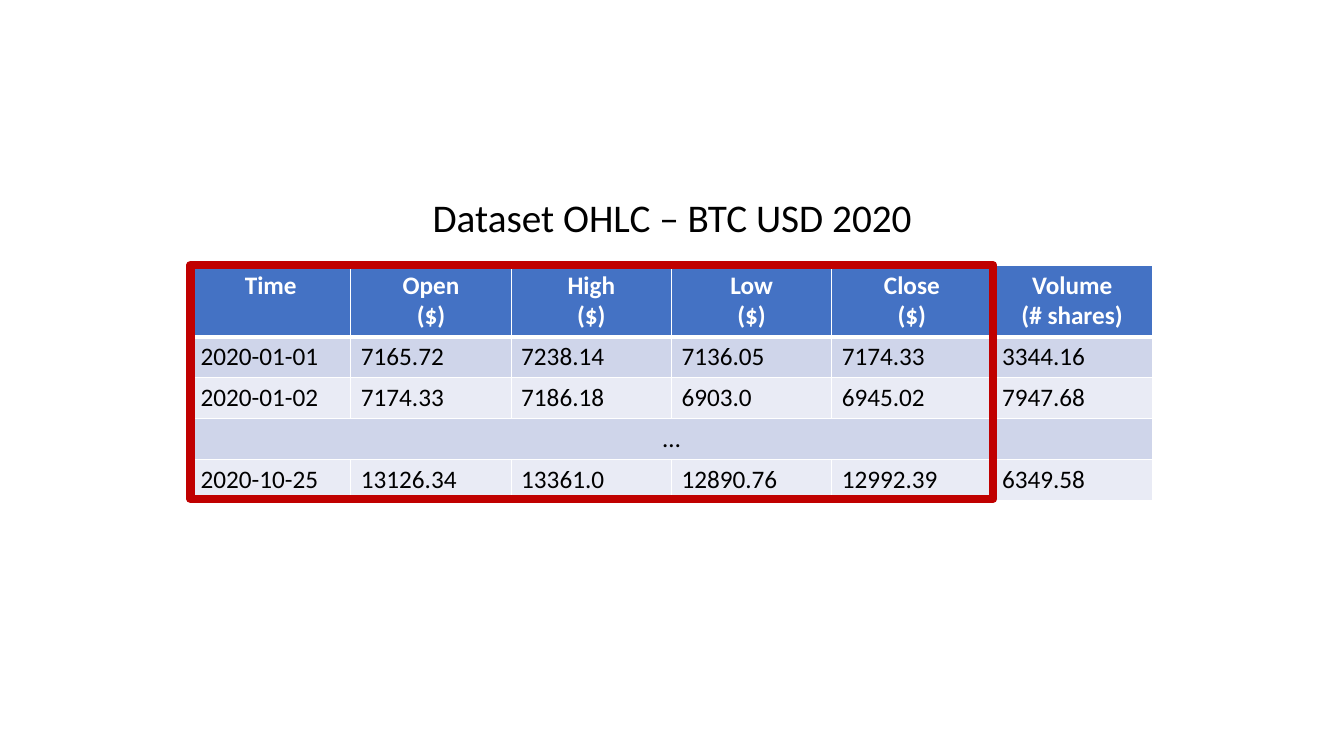
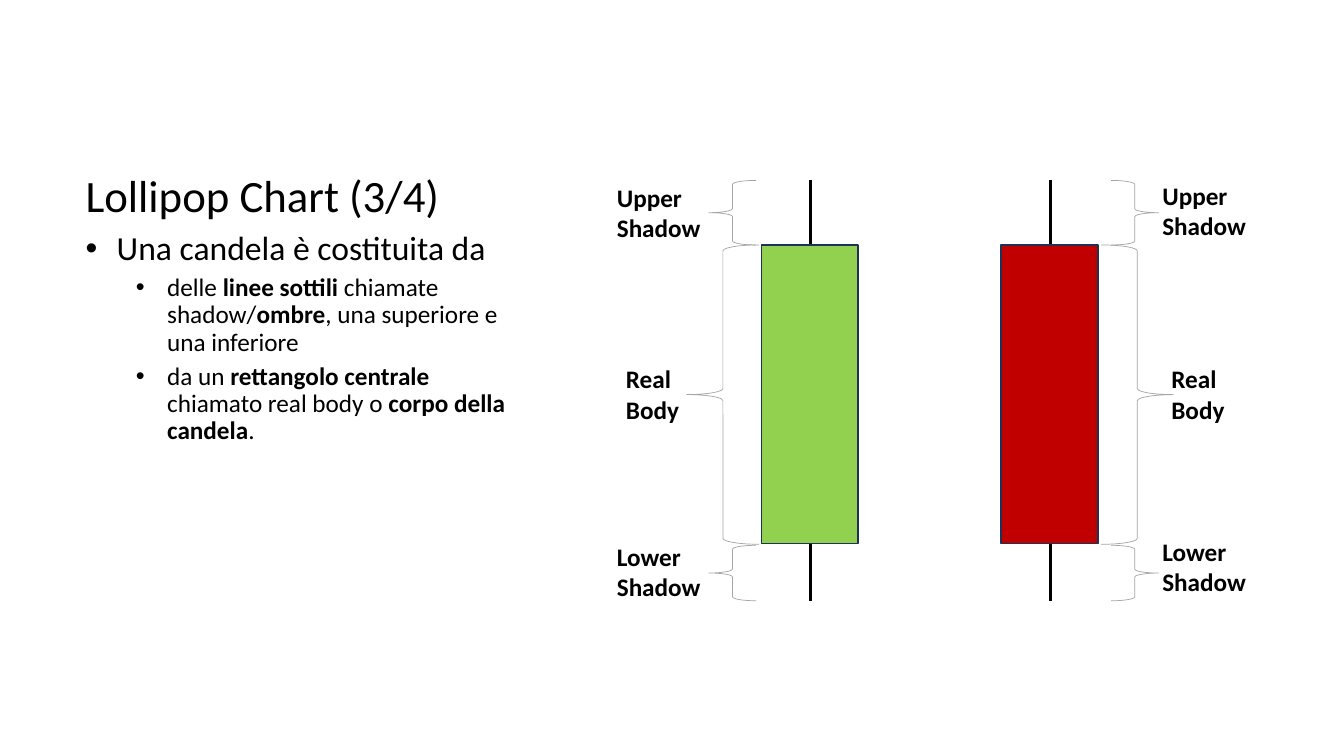
from dataclasses import dataclass

from lxml import etree
from pptx import Presentation
from pptx.dml.color import RGBColor
from pptx.enum.shapes import MSO_CONNECTOR, MSO_SHAPE
from pptx.enum.text import MSO_ANCHOR, MSO_AUTO_SIZE, PP_ALIGN
from pptx.oxml.ns import qn
from pptx.util import Pt

PX = 9144
CENTER = PP_ALIGN.CENTER
BOTTOM, TOP = MSO_ANCHOR.BOTTOM, MSO_ANCHOR.TOP
FIT, FIXED = MSO_AUTO_SIZE.SHAPE_TO_FIT_TEXT, MSO_AUTO_SIZE.NONE
RECTANGLE, BRACE = MSO_SHAPE.RECTANGLE, MSO_SHAPE.LEFT_BRACE
STRAIGHT = MSO_CONNECTOR.STRAIGHT


@dataclass(frozen=True)
class Theme:
    font: str = "Calibri"
    black: str = "000000"
    white: str = "FFFFFF"
    header: str = "4472C4"
    bands: tuple = ("CFD5EA", "E9EBF5")
    red: str = "C00000"
    green: str = "92D050"
    outline: str = "1E3256"
    grey: str = "A5A5A5"
    title: int = 32
    caption: int = 28
    lead: int = 24
    text: int = 18


THEME = Theme()


def scaled(*lengths):
    return [length * PX for length in lengths]


def apply(target, values):
    for name, value in values.items():
        setattr(target, name, value)


def paint(fill, color):
    fill.solid()
    fill.fore_color.rgb = RGBColor.from_string(color)


class Deck:
    def __init__(self, theme):
        self.theme = theme
        self.deck = Presentation()
        apply(self.deck, {"slide_width": 1333 * PX, "slide_height": 750 * PX})
        self.page = None

    def new_page(self):
        self.page = self.deck.slides.add_slide(self.deck.slide_layouts[6])

    def spans(self, para, text, size, color=None, bold=False, **layout):
        apply(para, layout)
        for index, part in enumerate(text.split("*")):
            if part:
                span = para.add_run()
                span.text = part
                apply(span.font, {"name": self.theme.font, "size": Pt(size),
                                  "bold": bold or index % 2 == 1})
                span.font.color.rgb = RGBColor.from_string(color or self.theme.black)

    def text_box(self, place, **frame_format):
        frame = self.page.shapes.add_textbox(*scaled(*place)).text_frame
        apply(frame, {"word_wrap": True, "auto_size": FIXED,
                      "vertical_anchor": TOP, **frame_format})
        return frame

    def title(self, text, place, size, **layout):
        frame = self.text_box(place, vertical_anchor=BOTTOM)
        self.spans(frame.paragraphs[0], text, size, line_spacing=0.9, **layout)

    def label(self, text, left, top, width):
        frame = self.text_box((left, top, width, 71), word_wrap=False, auto_size=FIT)
        self.lines(frame, text, self.theme.black, bold=True)

    def lines(self, frame, text, color, **layout):
        for index, line in enumerate(text.split("\n")):
            para = frame.add_paragraph() if index else frame.paragraphs[0]
            self.spans(para, line, self.theme.text, color, **layout)

    def bullets(self, items, place):
        frame = self.text_box(place)
        styles = ((self.theme.lead, 10, 31), (self.theme.text, 5, 81))
        for index, (level, text) in enumerate(items):
            size, space, margin = styles[level]
            para = frame.add_paragraph() if index else frame.paragraphs[0]
            self.spans(para, text, size, level=level, line_spacing=0.9,
                       space_before=Pt(space))
            properties = para._p.get_or_add_pPr()
            properties.set("marL", str(margin * PX))
            properties.set("indent", str(-31 * PX))
            etree.SubElement(properties, qn("a:buFont"), typeface="Arial")
            etree.SubElement(properties, qn("a:buChar"), char="•")

    def shape(self, kind, place, line, width, fill=None, rotation=0, parent=None):
        shapes = (parent or self.page).shapes
        shape = shapes.add_shape(kind, *scaled(*place))
        shape.shadow.inherit = False
        shape.rotation = rotation
        if fill:
            paint(shape.fill, fill)
        else:
            shape.fill.background()
        paint(shape.line.fill, line)
        shape.line.width = Pt(width)

    def line(self, start, end, color, width, parent):
        line = parent.shapes.add_connector(STRAIGHT, *scaled(*start, *end))
        paint(line.line.fill, color)
        line.line.width = Pt(width)
        etree.SubElement(line._element.spPr, qn("a:effectLst"))

    def candle(self, left, color):
        group = self.page.shapes.add_group_shape()
        middle = left + 49
        self.line((middle, 596), (middle, 179), self.theme.black, 2.25, group)
        self.shape(RECTANGLE, (left, 243, 96, 296), self.theme.outline, 1, color,
                   parent=group)

    def cell(self, cell, text, fill, color, edges, **layout):
        properties = cell._tc.get_or_add_tcPr()
        for side, width in zip("LRTB", edges):
            border = etree.SubElement(properties, qn(f"a:ln{side}"), w=str(Pt(width)))
            solid = etree.SubElement(border, qn("a:solidFill"))
            etree.SubElement(solid, qn("a:srgbClr"), val=self.theme.white)
        paint(cell.fill, fill)
        self.lines(cell.text_frame, text, color, **layout)

    def table(self, rows, place, header_height, row_height):
        columns = len(rows[0])
        frame = self.page.shapes.add_table(len(rows), columns, *scaled(*place))
        table = frame.table
        apply(table, {"first_row": False, "horz_banding": False})
        for column in table.columns:
            column.width = place[2] * PX // columns
        for index, row in enumerate(rows):
            table.rows[index].height = (row_height if index else header_height) * PX
            if len(row) == 1:
                table.cell(index, 0).merge(table.cell(index, columns - 1))
            fill, color = self.theme.bands[(index - 1) % 2], self.theme.black
            layout = {"alignment": CENTER} if len(row) == 1 else {}
            if index == 0:
                fill, color = self.theme.header, self.theme.white
                layout = {"alignment": CENTER, "bold": True}
            edges = (1, 1, 3 if index == 1 else 1, 3 if index == 0 else 1)
            for column, text in enumerate(row):
                self.cell(table.cell(index, column), text, fill, color, edges, **layout)


PRICES = (
    ("Time", "Open\n($)", "High\n($)", "Low\n($)", "Close\n($)", "Volume\n(# shares)"),
    ("2020-01-01", "7165.72", "7238.14", "7136.05", "7174.33", "3344.16"),
    ("2020-01-02", "7174.33", "7186.18", "6903.0", "6945.02", "7947.68"),
    ("…",),
    ("2020-10-25", "13126.34", "13361.0", "12890.76", "12992.39", "6349.58"),
)
CANDLE_PARTS = (
    (0, "Una candela è costituita da"),
    (1, "delle *linee sottili *chiamate shadow/*ombre*, una superiore e una inferiore"),
    (1, "da un *rettangolo centrale *chiamato real body o *corpo della candela*."),
)


@dataclass(frozen=True)
class Side:
    candle: int
    color: str
    rotation: int
    body_brace: int
    shadow_brace: int
    label: int
    upper: int
    lower: int


SIDES = (
    Side(755, THEME.green, 0, 681, 703, 602, 176, 532),
    Side(993, THEME.red, 180, 1092, 1102, 1143, 174, 527),
)


def dataset_page(deck):
    deck.new_page()
    deck.title("Dataset OHLC – BTC USD 2020", (189, 159, 955, 85), THEME.caption,
               alignment=CENTER, space_before=Pt(10))
    deck.table(PRICES, (189, 263, 954, 232), 70, 40)
    deck.shape(RECTANGLE, (189, 263, 796, 232), THEME.red, 6)


def candle_page(deck):
    deck.new_page()
    deck.title("Lollipop Chart (3/4)", (75, 50, 447, 175), THEME.title)
    deck.bullets(CANDLE_PARTS, (75, 225, 447, 417))
    for side in SIDES:
        deck.candle(side.candle, side.color)
        braces = ((side.body_brace, 243, 72, 297), (side.shadow_brace, 179, 47, 64),
                  (side.shadow_brace, 541, 47, 55))
        for place in braces:
            deck.shape(BRACE, place, THEME.grey, 0.5, rotation=side.rotation)
        deck.label("Upper\nShadow", side.label, side.upper, 104)
        deck.label("Real\nBody", side.label + 9, 356, 73)
        deck.label("Lower\nShadow", side.label, side.lower, 104)


def main():
    deck = Deck(THEME)
    dataset_page(deck)
    candle_page(deck)
    deck.deck.save("out.pptx")


if __name__ == "__main__":
    main()
